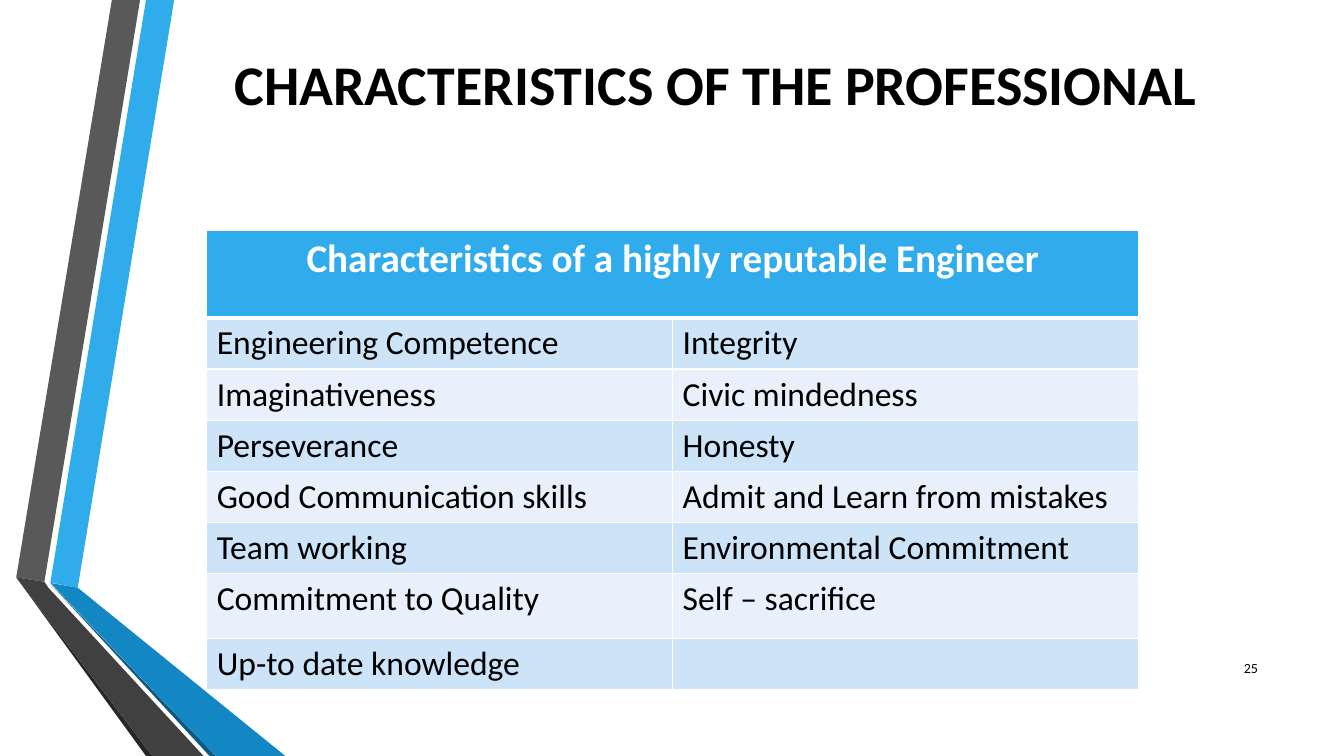
from dataclasses import dataclass

from lxml import etree
from pptx import Presentation
from pptx import util as u
from pptx.dml.color import RGBColor
from pptx.enum import text
from pptx.oxml import ns

FONT = "Calibri"
BLACK, WHITE = "000000", "FFFFFF"
HEADER_FILL = "30ACEC"
BAND_FILLS = ("CDE3F8", "E8F1FB")
THIN, THICK = 1, 3
HEADER = "Characteristics of a highly reputable Engineer"
TRAITS = (
    ("Engineering Competence", "Integrity"),
    ("Imaginativeness", "Civic mindedness"),
    ("Perseverance", "Honesty"),
    ("Good Communication skills", "Admit and Learn from mistakes"),
    ("Team working", "Environmental Commitment"),
    ("Commitment to Quality", "Self – sacrifice"),
    ("Up-to date knowledge", ""),
)
HEADER_HEIGHT, ROW_HEIGHT, TALL_ROW_HEIGHT = 2.21, 1.29, 1.63
TALL_ROW = 6


@dataclass(frozen=True)
class Ribbon:
    fill: str
    points: tuple[tuple[float, float], ...]


@dataclass(frozen=True)
class Label:
    wording: str
    box: tuple[float, float, float, float]
    size: float
    bold: bool
    alignment: text.PP_ALIGN


RIBBONS = (
    Ribbon("30ACEC", ((1.27, 14.68), (1.96, 14.81), (4.39, 0), (3.68, 0))),
    Ribbon("595959", ((3.53, 0), (2.82, 0), (0.41, 14.55), (1.12, 14.66))),
    Ribbon("262626", ((0.41, 14.55), (3.68, 19.05), (3.84, 19.05))),
    Ribbon("0C5A82", ((1.27, 14.71), (5.28, 19.05), (5.44, 19.05))),
    Ribbon("1287C3", ((1.27, 14.69), (5.44, 19.05), (7.19, 19.05), (1.96, 14.81))),
    Ribbon("404040", ((5.13, 19.05), (1.22, 14.81), (1.12, 14.66), (0.41, 14.55),
                      (3.84, 19.05))),
)
LABELS = (
    Label("CHARACTERISTICS OF THE PROFESSIONAL", (4.11, 0.84, 27.84, 2.49), 40, True,
          text.PP_ALIGN.CENTER),
    Label("25", (30.43, 16.31, 1.52, 1.02), 10, False, text.PP_ALIGN.RIGHT),
)


def color(value: str) -> RGBColor:
    return RGBColor.from_string(value)


def set_attributes(target, values: dict) -> None:
    for name, value in values.items():
        setattr(target, name, value)


def write(paragraph, wording: str, size: float, fill: str = BLACK, bold: bool = False,
          alignment: text.PP_ALIGN = text.PP_ALIGN.LEFT) -> None:
    paragraph.alignment = alignment
    run = paragraph.add_run()
    run.text = wording
    set_attributes(run.font, {"name": FONT, "size": u.Pt(size), "bold": bold})
    run.font.color.rgb = color(fill)


def draw_ribbon(slide, ribbon: Ribbon) -> None:
    start, *others = [(u.Cm(x), u.Cm(y)) for x, y in ribbon.points]
    builder = slide.shapes.build_freeform(*start)
    builder.add_line_segments(others, close=True)
    shape = builder.convert_to_shape()
    shape.shadow.inherit = False
    shape.fill.solid()
    shape.fill.fore_color.rgb = color(ribbon.fill)
    shape.line.fill.background()


def draw_label(slide, label: Label) -> None:
    shape = slide.shapes.add_textbox(*map(u.Cm, label.box))
    frame = shape.text_frame
    set_attributes(frame, {"word_wrap": True, "vertical_anchor": text.MSO_ANCHOR.MIDDLE})
    write(frame.paragraphs[0], label.wording, label.size, bold=label.bold,
          alignment=label.alignment)


def style_cell(cell, fill: str, top: float, bottom: float) -> None:
    cell.fill.solid()
    cell.fill.fore_color.rgb = color(fill)
    properties = cell._tc.get_or_add_tcPr()
    widths = {"lnL": THIN, "lnR": THIN, "lnT": top, "lnB": bottom}
    for position, (side, width) in enumerate(widths.items()):
        line = etree.Element(ns.qn(f"a:{side}"), w=str(u.Pt(width)))
        solid = etree.SubElement(line, ns.qn("a:solidFill"))
        etree.SubElement(solid, ns.qn("a:srgbClr"), val=WHITE)
        properties.insert(position, line)


def draw_traits_table(slide) -> None:
    heights = [HEADER_HEIGHT] + [ROW_HEIGHT] * len(TRAITS)
    heights[TALL_ROW] = TALL_ROW_HEIGHT
    table = slide.shapes.add_table(
        len(heights), 2, u.Cm(5.21), u.Cm(5.8), u.Cm(23.48), u.Cm(sum(heights))).table
    for row, height in zip(table.rows, heights):
        row.height = u.Cm(height)

    for cell in table.rows[0].cells:
        style_cell(cell, HEADER_FILL, THIN, THICK)
    header = table.cell(0, 0)
    header.merge(table.cell(0, 1))
    write(header.text_frame.paragraphs[0], HEADER, 28, WHITE, True, text.PP_ALIGN.CENTER)

    for index, traits in enumerate(TRAITS):
        for column, trait in enumerate(traits):
            cell = table.cell(index + 1, column)
            style_cell(cell, BAND_FILLS[index % 2], THIN if index else THICK, THIN)
            if trait:
                write(cell.text_frame.paragraphs[0], trait, 24)


def main() -> None:
    presentation = Presentation()
    set_attributes(presentation, {"slide_width": u.Cm(33.87), "slide_height": u.Cm(19.05)})
    slide = presentation.slides.add_slide(presentation.slide_layouts[6])
    for ribbon in RIBBONS:
        draw_ribbon(slide, ribbon)
    draw_traits_table(slide)
    for label in LABELS:
        draw_label(slide, label)
    presentation.save("out.pptx")


if __name__ == "__main__":
    main()
